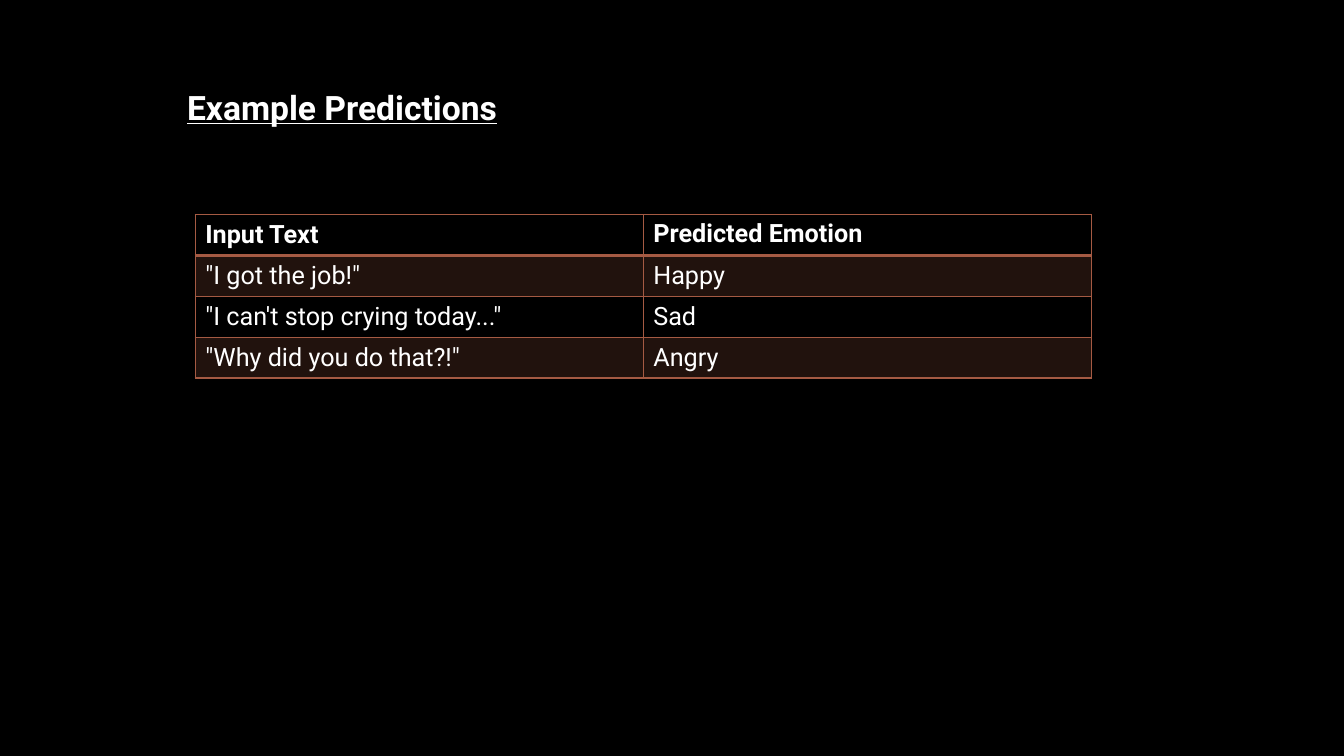
from lxml.etree import SubElement
from pptx import Presentation
from pptx.dml.color import RGBColor
from pptx.enum.text import MSO_ANCHOR, MSO_AUTO_SIZE
from pptx.oxml import parse_xml
from pptx.oxml.ns import nsdecls, qn
from pptx.util import Pt

# Content
HEADING = "Example Predictions"
PREDICTIONS = [
    ("Input Text", "Predicted Emotion"),
    ('"I got the job!"', "Happy"),
    ('"I can\'t stop crying today..."', "Sad"),
    ('"Why did you do that?!"', "Angry"),
]

# Look
COLORS = {"background": "000000", "text": "FFFFFF", "accent": "A55A43"}
FONT = "Roboto"
BAND_ALPHA = 20
GRID_WIDTH, HEADER_RULE_WIDTH = 1, 2

# Places, in points
HEADING_BOX = (126.5, 58.3, 480, 36)
TABLE_LEFT, TABLE_TOP = 139.5, 153.2
COLUMN_WIDTH, ROW_HEIGHT = 320, 29.2


def write(frame, text, size=18, bold=False, underline=False):
    run = frame.paragraphs[0].add_run()
    run.text = text
    font = run.font
    font.name, font.size = FONT, Pt(size)
    font.bold, font.underline = bold, underline
    font.color.rgb = RGBColor.from_string(COLORS["text"])


def fill_band(cell):
    cell.fill.solid()
    cell.fill.fore_color.rgb = RGBColor.from_string(COLORS["accent"])
    color = cell._tc.tcPr.find(".//" + qn("a:srgbClr"))
    SubElement(color, qn("a:alpha"), val=str(BAND_ALPHA * 1000))


def draw_borders(cell, widths):
    # Border lines come before the fill in the cell properties
    for place, (side, width) in enumerate(widths.items()):
        line = parse_xml(
            f'<a:ln{side} {nsdecls("a")} w="{Pt(width)}"><a:solidFill>'
            f'<a:srgbClr val="{COLORS["accent"]}"/></a:solidFill></a:ln{side}>'
        )
        cell._tc.get_or_add_tcPr().insert(place, line)


prs = Presentation()
prs.slide_width, prs.slide_height = Pt(960), Pt(540)
slide = prs.slides.add_slide(prs.slide_layouts[6])
slide.background.fill.solid()
slide.background.fill.fore_color.rgb = RGBColor.from_string(COLORS["background"])

# Heading
heading = slide.shapes.add_textbox(*map(Pt, HEADING_BOX)).text_frame
heading.word_wrap = True
heading.auto_size = MSO_AUTO_SIZE.SHAPE_TO_FIT_TEXT
write(heading, HEADING, size=24, bold=True, underline=True)

# Predictions table
row_count, column_count = len(PREDICTIONS), len(PREDICTIONS[0])
table = slide.shapes.add_table(
    row_count, column_count, Pt(TABLE_LEFT), Pt(TABLE_TOP),
    Pt(COLUMN_WIDTH * column_count), Pt(ROW_HEIGHT * row_count),
).table
table.horz_banding = False

for r, prediction in enumerate(PREDICTIONS):
    for c, text in enumerate(prediction):
        cell = table.cell(r, c)
        top_right = r == 0 and c == 1
        cell.vertical_anchor = MSO_ANCHOR.TOP if top_right else MSO_ANCHOR.MIDDLE
        write(cell.text_frame, text, bold=r == 0)
        if r % 2:
            fill_band(cell)
        else:
            cell.fill.background()
        draw_borders(cell, {
            "L": GRID_WIDTH,
            "R": GRID_WIDTH,
            "T": HEADER_RULE_WIDTH if r == 1 else GRID_WIDTH,
            "B": HEADER_RULE_WIDTH if r == 0 else GRID_WIDTH,
        })

prs.save("out.pptx")
